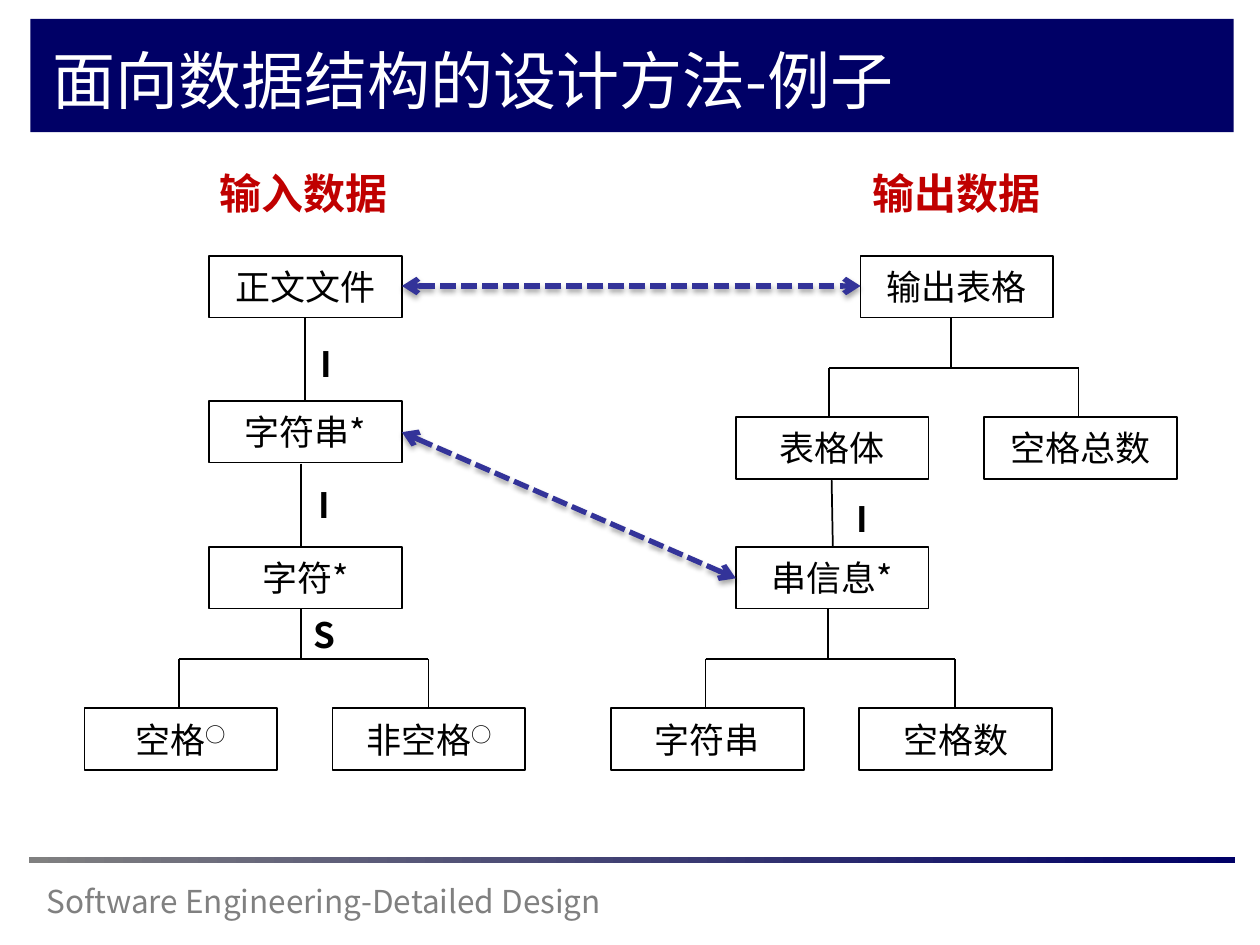
from lxml import etree
from pptx import Presentation
from pptx.dml.color import RGBColor
from pptx.enum import dml, shapes, text
from pptx.oxml import ns
from pptx.util import Inches, Pt

FONT = "Noto Sans CJK SC"
NAVY = RGBColor(0x00, 0x00, 0x66)
BLUE = RGBColor(0x33, 0x33, 0x99)
RED = RGBColor(0xC0, 0x00, 0x00)
GRAY = RGBColor(0x80, 0x80, 0x80)
BLACK = RGBColor(0, 0, 0)
WHITE = RGBColor(0xFF, 0xFF, 0xFF)

BOX_W, BOX_H = 1.53, 0.49
ROW = [2.03, 3.18, 4.34, 5.62]  # tops of the tree levels
ALIGN = text.PP_ALIGN
ANCHOR = text.MSO_ANCHOR


def sub(parent, tag, **attrs):
    return etree.SubElement(parent, ns.qn(tag), attrs)


def add_run(para, words, size, color, bold=False, raised=False):
    run = para.add_run()
    run.text = words
    font = run.font
    font.size, font.name, font.bold = Pt(size), FONT, bold
    font.color.rgb = color
    props = run.font._element
    sub(props, "a:ea", typeface=FONT)
    if raised:
        props.set("baseline", "30000")


def add_text(slide, words, x, y, w, h, size, color, bold=False,
             align=ALIGN.CENTER, anchor=ANCHOR.TOP):
    area = slide.shapes.add_textbox(Inches(x), Inches(y), Inches(w), Inches(h))
    frame = area.text_frame
    frame.word_wrap = True
    frame.vertical_anchor = anchor
    para = frame.paragraphs[0]
    para.alignment = align
    add_run(para, words, size, color, bold)


def add_rect(slide, x, y, w, h):
    rect = slide.shapes.add_shape(
        shapes.MSO_SHAPE.RECTANGLE, Inches(x), Inches(y), Inches(w), Inches(h))
    rect.shadow.inherit = False
    return rect


def add_node(slide, words, x, y, mark=None):
    node = add_rect(slide, x, y, BOX_W, BOX_H)
    node.fill.background()
    node.line.color.rgb = BLACK
    node.line.width = Pt(1)
    frame = node.text_frame
    frame.vertical_anchor = ANCHOR.MIDDLE
    para = frame.paragraphs[0]
    para.alignment = ALIGN.CENTER
    add_run(para, words, 20, BLACK)
    if mark:
        add_run(para, mark, 20, BLACK, raised=True)


def add_line(slide, x1, y1, x2, y2, color=BLACK, width=1):
    line = slide.shapes.add_connector(
        shapes.MSO_CONNECTOR.STRAIGHT,
        Inches(x1), Inches(y1), Inches(x2), Inches(y2))
    line.line.color.rgb = color
    line.line.width = Pt(width)
    effects = sub(line._element.spPr, "a:effectLst")
    return line, effects


def add_fork(slide, x, y):
    """Stem, crossbar and two legs from a parent's bottom to its children."""
    left, right, bar, foot = x - 0.97, x + 1.01, y + 0.4, y + 0.8
    add_line(slide, x, y, x, bar)
    add_line(slide, left, bar, right, bar)
    for leg in (left, right):
        add_line(slide, leg, bar, leg, foot)


def add_match(slide, x1, y1, x2, y2):
    """Dashed two-way arrow with a soft shadow."""
    line, effects = add_line(slide, x1, y1, x2, y2, BLUE, 3)
    line.line.dash_style = dml.MSO_LINE.SQUARE_DOT
    stroke = line.line._get_or_add_ln()
    stroke.find(ns.qn("a:prstDash")).set("val", "sysDash")
    for end in ("a:headEnd", "a:tailEnd"):
        sub(stroke, end, type="arrow")
    shade = sub(effects, "a:outerShdw", blurRad=str(Pt(3.1)),
                dist=str(Pt(1.8)), dir="5400000", rotWithShape="0")
    tint = sub(shade, "a:srgbClr", val=str(BLACK))
    sub(tint, "a:alpha", val="35000")


def add_frame(slide):
    # Title band
    band = add_rect(slide, 0.24, 0.15, 9.55, 0.9)
    band.fill.solid()
    band.fill.fore_color.rgb = NAVY
    band.line.fill.background()
    # Footer text and rule
    add_text(slide, "Software Engineering-Detailed Design", 0.27, 6.95, 5.17,
             0.4, 18, GRAY, align=ALIGN.LEFT)
    rule = add_rect(slide, 0.23, 6.8, 9.57, 0.05)
    rule.fill.gradient()
    rule.fill.gradient_angle = 0
    for stop, color, place in zip(rule.fill.gradient_stops, (GRAY, NAVY), (0, 1)):
        stop.color.rgb = color
        stop.position = place
    rule.line.fill.background()
    add_text(slide, "面向数据结构的设计方法-例子", 0.32, 0.26, 8.81, 0.74, 36,
             WHITE, align=ALIGN.LEFT, anchor=ANCHOR.MIDDLE)


def main():
    deck = Presentation()
    deck.slide_width, deck.slide_height = Inches(10), Inches(7.5)
    slide = deck.slides.add_slide(deck.slide_layouts[6])
    add_frame(slide)

    # Boxes of the input tree, then of the output tree
    for node in (
        ("正文文件", 1.66, ROW[0]),
        ("字符串*", 1.66, ROW[1]),
        ("字符*", 1.66, ROW[2]),
        ("空格", 0.67, ROW[3], "○"),
        ("非空格", 2.64, ROW[3], "○"),
        ("输出表格", 6.83, ROW[0]),
        ("表格体", 5.84, 3.31),
        ("空格总数", 7.81, 3.31),
        ("串信息*", 5.84, ROW[2]),
        ("字符串", 4.85, ROW[3]),
        ("空格数", 6.82, ROW[3]),
    ):
        add_node(slide, *node)

    # Links between single parents and children
    for ends in ((2.42, 2.52, 2.42, 3.18), (2.39, 3.68, 2.39, 4.34),
                 (6.6, 3.8, 6.61, 4.34)):
        add_line(slide, *ends)

    # Branches into two children
    for x, y in ((7.55, 2.52), (6.57, 4.83), (2.39, 4.83)):
        add_fork(slide, x, y)

    # Kind of each link
    for kind, x, y in (("I", 2.42, 2.67), ("I", 2.4, 3.79),
                       ("S", 2.39, 4.82), ("I", 6.67, 3.9)):
        add_text(slide, kind, x, y, 0.34, 0.44, 20, BLACK, bold=True)

    # Tree headings
    for head, x in (("输入数据", 1.49), ("输出数据", 6.67)):
        add_text(slide, head, x, 1.28, 1.84, 0.5, 24, RED, bold=True)

    # Matching parts of the two trees
    add_match(slide, 3.19, 2.27, 6.83, 2.27)
    add_match(slide, 3.19, 3.43, 5.84, 4.59)

    deck.save("out.pptx")


if __name__ == "__main__":
    main()
